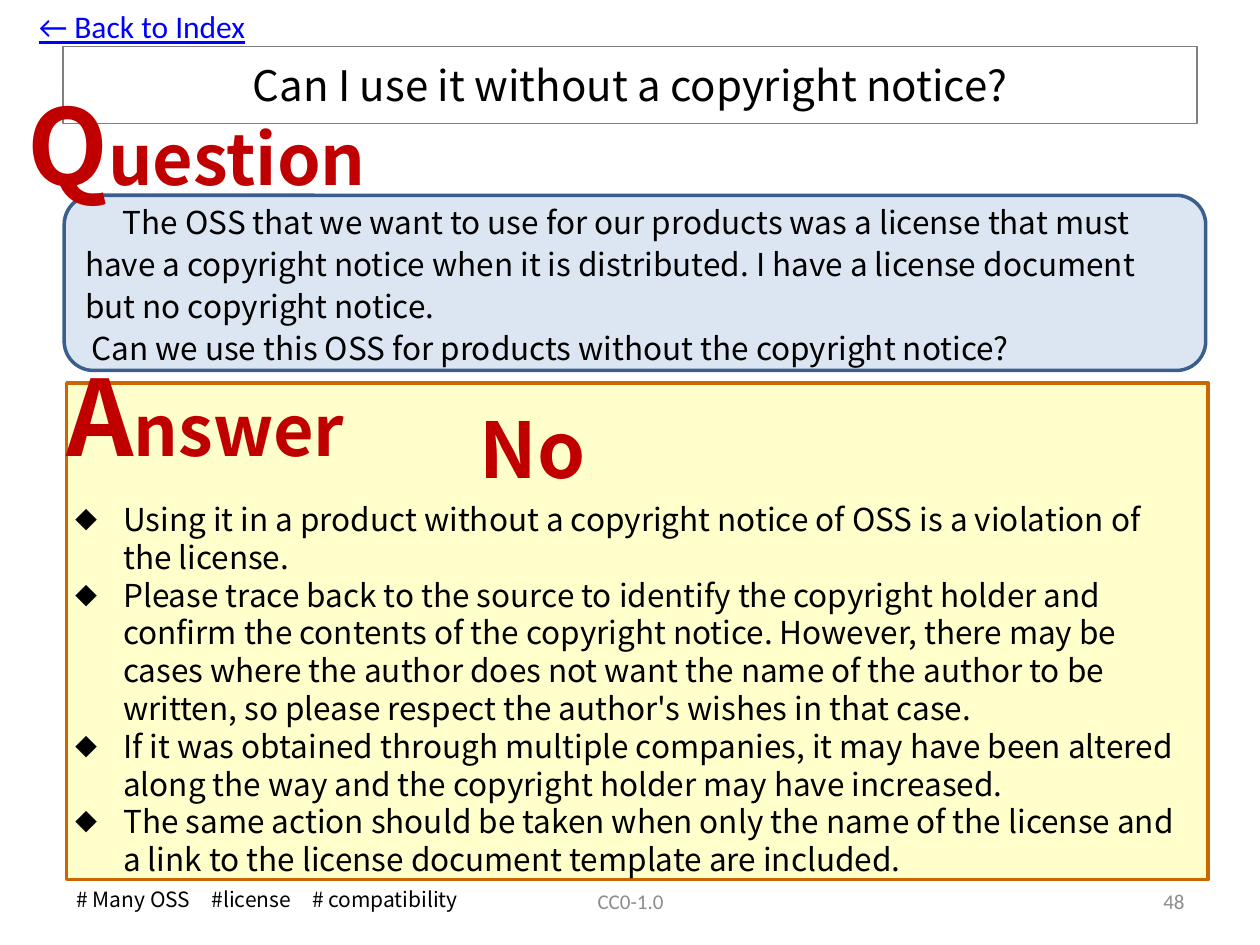
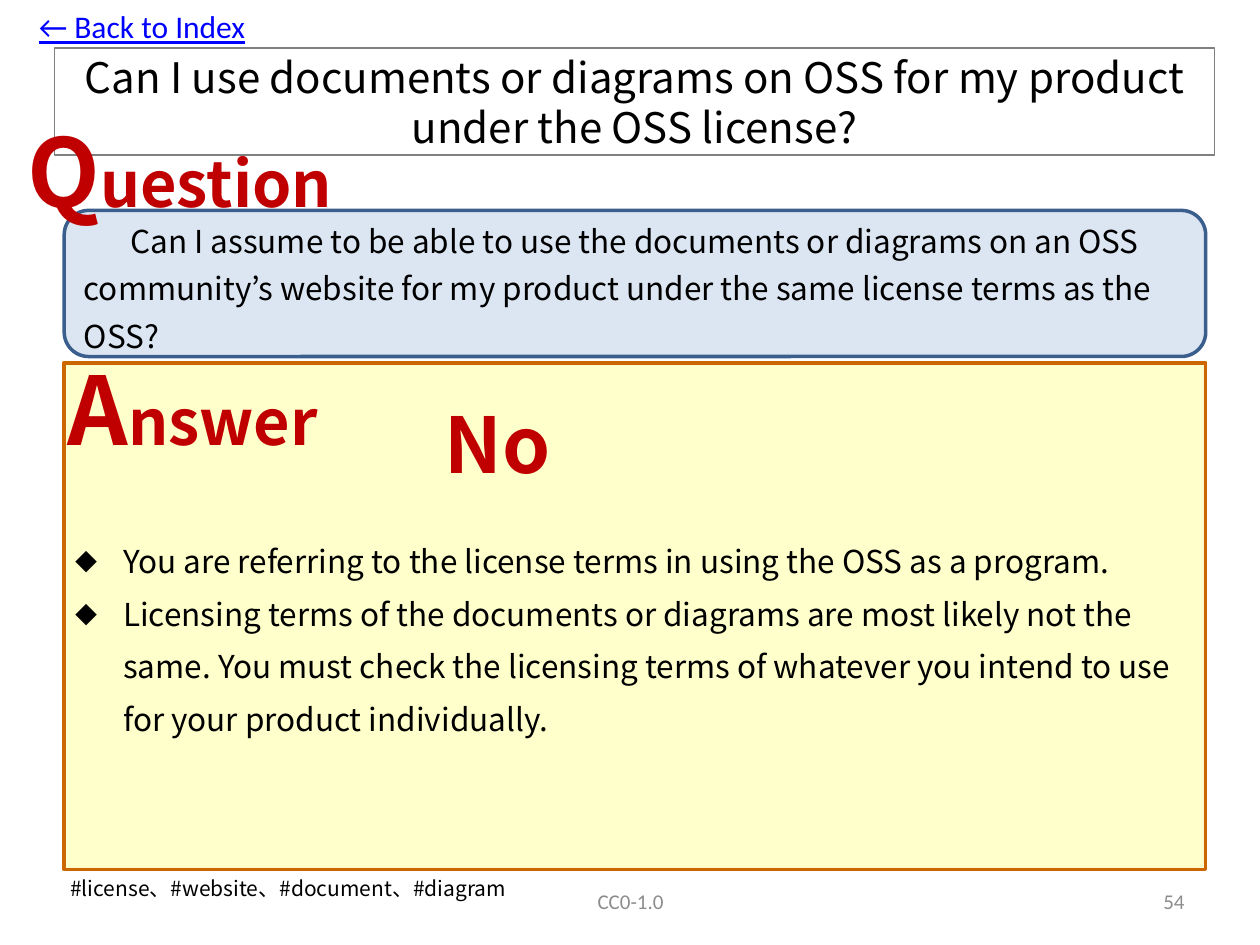
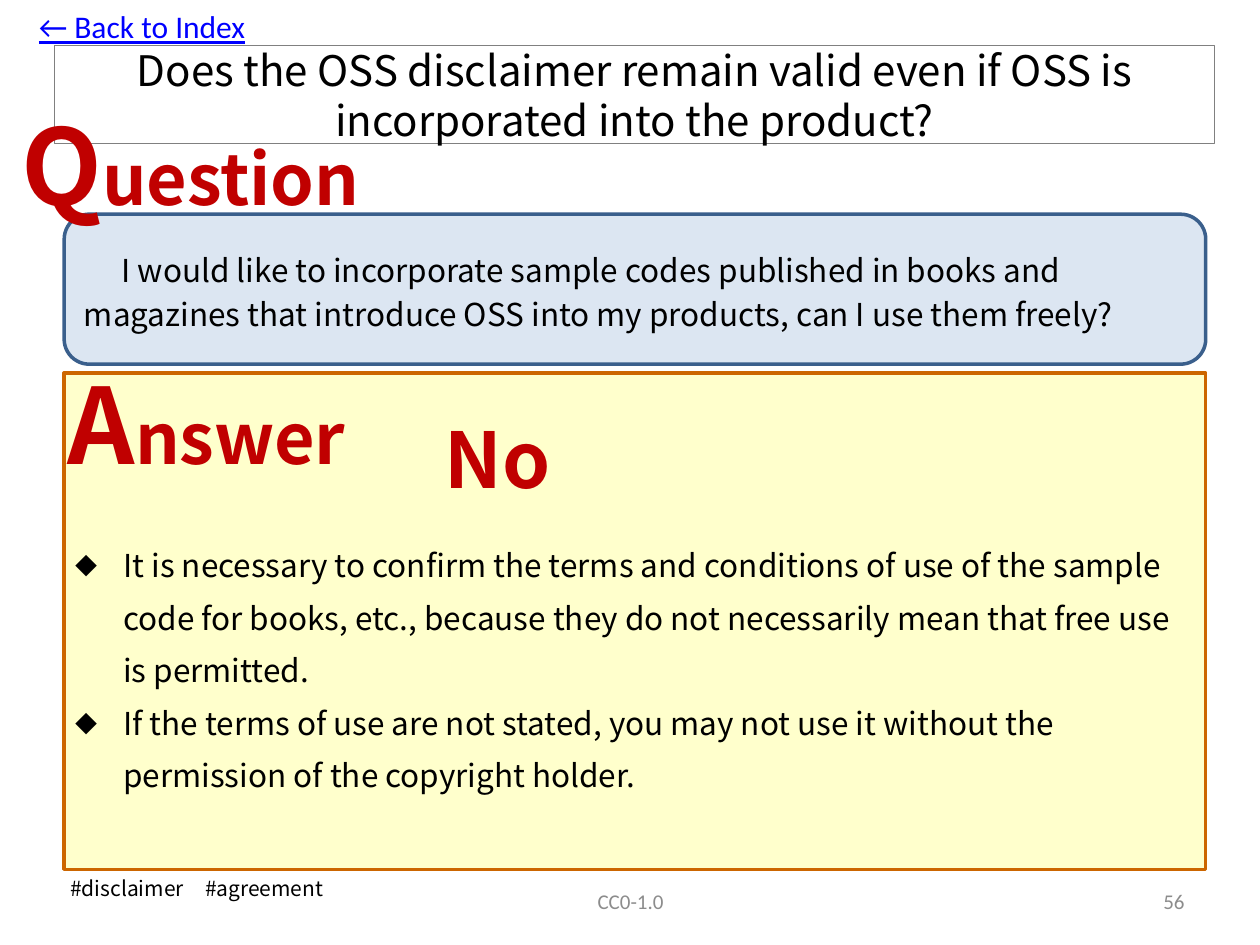
from lxml import etree
from pptx import Presentation
from pptx.dml.color import RGBColor
from pptx.enum import shapes, text
from pptx.oxml.ns import qn
from pptx.util import Inches, Pt

WHITE = RGBColor(0xFF, 0xFF, 0xFF)
BLACK = RGBColor(0x00, 0x00, 0x00)
GRAY = RGBColor(0x80, 0x80, 0x80)
FOOTER_GRAY = RGBColor(0x8C, 0x8C, 0x8C)
LINK_BLUE = RGBColor(0x00, 0x00, 0xFF)
RED = RGBColor(0xC0, 0x00, 0x00)
QUESTION_FILL = RGBColor(0xDC, 0xE6, 0xF2)
QUESTION_LINE = RGBColor(0x3A, 0x5F, 0x8C)
ANSWER_FILL = RGBColor(0xFF, 0xFF, 0xCC)
ANSWER_LINE = RGBColor(0xCC, 0x66, 0x00)

BODY_FONT = "Noto Sans CJK JP"
FOOTER_FONT = "Calibri"
LEFT, CENTER, RIGHT = text.PP_ALIGN.LEFT, text.PP_ALIGN.CENTER, text.PP_ALIGN.RIGHT
TOP, MIDDLE = text.MSO_ANCHOR.TOP, text.MSO_ANCHOR.MIDDLE
BULLET_INDENT = 0.38

# Places are left, top, width, height in inches; question paragraphs
# carry their first-line indent.
PAGES = [
    dict(
        number="48",
        title="Can I use it without a copyright notice?",
        title_at=(0.5, 0.37, 9, 0.61),
        question=[
            (0.3, "The OSS that we want to use for our products was a license that must "
                  "have a copyright notice when it is distributed. I have a license document "
                  "but no copyright notice."),
            (0.05, "Can we use this OSS for products without the copyright notice?"),
        ],
        question_at=(0.51, 1.55, 9.06, 1.39), question_spacing=24,
        answer_at=(0.53, 3.04, 9.06, 3.94),
        verdict_at=(3.71, 3.14, 3.46, 0.84),
        reasons=[
            "Using it in a product without a copyright notice of OSS is a violation of "
            "the license.",
            "Please trace back to the source to identify the copyright holder and "
            "confirm the contents of the copyright notice. However, there may be "
            "cases where the author does not want the name of the author to be "
            "written, so please respect the author's wishes in that case.",
            "If it was obtained through multiple companies, it may have been altered "
            "along the way and the copyright holder may have increased.",
            "The same action should be taken when only the name of the license and "
            "a link to the license document template are included.",
        ],
        reasons_at=(0.5, 3.92, 9.07, 3.07), reasons_spacing=None,
        heading_size=60,
        question_heading_at=(0.12, 0.59, 3.07, 1.11),
        answer_heading_at=(0.43, 2.74, 2.63, 1.11),
        tags="# Many OSS　#license　# compatibility",
        tags_at=(0.51, 6.99, 3.43, 0.3), tags_wrap=False,
    ),
    dict(
        number="54",
        title="Can I use documents or diagrams on OSS for my product under the OSS license?",
        title_at=(0.43, 0.38, 9.21, 0.85),
        question=[
            (0.37, "Can I assume to be able to use the documents or diagrams on an OSS "
                   "community’s website for my product under the same license terms as the "
                   "OSS?"),
        ],
        question_at=(0.51, 1.67, 9.06, 1.16), question_spacing=27,
        answer_at=(0.51, 2.88, 9.06, 4.02),
        verdict_at=(3.43, 3.1, 2.52, 0.84),
        reasons=[
            "You are referring to the license terms in using the OSS as a program.",
            "Licensing terms of the documents or diagrams are most likely not the "
            "same. You must check the licensing terms of whatever you intend to use "
            "for your product individually.",
        ],
        reasons_at=(0.5, 4.14, 9.07, 2.76), reasons_spacing=30,
        heading_size=54,
        question_heading_at=(0.12, 0.85, 2.78, 1.01),
        answer_heading_at=(0.44, 2.74, 2.39, 1.01),
        tags="#license、#website、#document、#diagram",
        tags_at=(0.46, 6.9, 3.74, 0.3), tags_wrap=True,
    ),
    dict(
        number="56",
        title="Does the OSS disclaimer remain valid even if OSS is incorporated into "
              "the product?",
        title_at=(0.43, 0.36, 9.21, 0.78),
        question=[
            (0.3, "I would like to incorporate sample codes published in books and "
                  "magazines that introduce OSS into my products, can I use them freely?"),
        ],
        question_at=(0.51, 1.7, 9.06, 1.19), question_spacing=25,
        answer_at=(0.51, 2.96, 9.06, 3.94),
        verdict_at=(3.43, 3.22, 1.5, 0.84),
        reasons=[
            "It is necessary to confirm the terms and conditions of use of the sample "
            "code for books, etc., because they do not necessarily mean that free use "
            "is permitted.",
            "If the terms of use are not stated, you may not use it without the "
            "permission of the copyright holder.",
        ],
        reasons_at=(0.5, 4.17, 9.07, 2.73), reasons_spacing=30,
        heading_size=60,
        question_heading_at=(0.07, 0.75, 3.07, 1.11),
        answer_heading_at=(0.44, 2.8, 2.63, 1.11),
        tags="#disclaimer　#agreement",
        tags_at=(0.46, 6.9, 2.3, 0.3), tags_wrap=False,
    ),
]


class FaqDeck:
    """Holds the shared look and the slide being filled."""

    def __init__(self):
        self.deck = Presentation()
        self.deck.slide_width = Inches(10)
        self.deck.slide_height = Inches(7.5)
        self.slide = None

    def new_slide(self):
        self.slide = self.deck.slides.add_slide(self.deck.slide_layouts[6])
        background = self.slide.background.fill
        background.solid()
        background.fore_color.rgb = WHITE

    def style_run(self, run, size, color=BLACK, font=BODY_FONT, bold=False, underline=False):
        run.font.size = Pt(size)
        run.font.color.rgb = color
        run.font.name = font
        run.font.bold = bold
        if underline:
            run.font.underline = True
        latin = run.font._element.find(qn("a:latin"))
        east_asian = etree.Element(qn("a:ea"), typeface=font)
        latin.addnext(east_asian)

    def fill_text(self, frame, lines, size, align=LEFT, spacing=None, **style):
        """Fill a text frame with one evenly styled paragraph per line."""
        frame.text = "\n".join(lines)
        for paragraph in frame.paragraphs:
            paragraph.alignment = align
            if spacing:
                paragraph.line_spacing = Pt(spacing)
            for run in paragraph.runs:
                self.style_run(run, size, **style)

    def indent(self, paragraph, left, first):
        properties = paragraph._p.get_or_add_pPr()
        properties.set("marL", str(Inches(left)))
        properties.set("indent", str(Inches(first)))
        return properties

    def panel(self, place, line, width, fill=None, kind=shapes.MSO_SHAPE.RECTANGLE):
        panel = self.slide.shapes.add_shape(kind, *map(Inches, place))
        panel.shadow.inherit = False
        if fill is None:
            panel.fill.background()
        else:
            panel.fill.solid()
            panel.fill.fore_color.rgb = fill
        panel.line.color.rgb = line
        panel.line.width = Pt(width)
        panel.text_frame.word_wrap = True
        panel.text_frame.vertical_anchor = MIDDLE
        return panel.text_frame

    def text_box(self, place, wrap=True, grow=False, anchor=TOP):
        frame = self.slide.shapes.add_textbox(*map(Inches, place)).text_frame
        frame.word_wrap = wrap
        fit = text.MSO_AUTO_SIZE
        frame.auto_size = fit.SHAPE_TO_FIT_TEXT if grow else fit.NONE
        frame.vertical_anchor = anchor
        return frame

    def title(self, words, place):
        self.fill_text(self.panel(place, GRAY, 0.75), [words], 24, CENTER)

    def question(self, paragraphs, place, spacing):
        frame = self.panel(place, QUESTION_LINE, 2, QUESTION_FILL,
                           shapes.MSO_SHAPE.ROUNDED_RECTANGLE)
        self.fill_text(frame, [words for _, words in paragraphs], 18, spacing=spacing)
        for paragraph, (first, _) in zip(frame.paragraphs, paragraphs):
            self.indent(paragraph, 0, first)

    def verdict(self, word, place):
        self.fill_text(self.text_box(place, grow=True), [word], 44, color=RED, bold=True)

    def reasons(self, lines, place, spacing):
        frame = self.text_box(place)
        self.fill_text(frame, lines, 18, spacing=spacing)
        for paragraph in frame.paragraphs:
            properties = self.indent(paragraph, BULLET_INDENT, -BULLET_INDENT)
            etree.SubElement(properties, qn("a:buSzPct"), val="70000")
            etree.SubElement(properties, qn("a:buFont"), typeface=BODY_FONT)
            etree.SubElement(properties, qn("a:buChar"), char="◆")

    def heading(self, word, place, size):
        """Set a word whose initial is half as large again as the rest."""
        paragraph = self.text_box(place, wrap=False, grow=True).paragraphs[0]
        for part, part_size in ((word[0], size), (word[1:], size * 2 / 3)):
            run = paragraph.add_run()
            run.text = part
            self.style_run(run, part_size, RED, bold=True)

    def tags(self, words, place, wrap):
        self.fill_text(self.text_box(place, wrap, grow=True), [words], 12)

    def index_label(self):
        frame = self.text_box((0.21, 0.01, 1.86, 0.4), wrap=False, grow=True)
        self.fill_text(frame, ["← Back to Index"], 18, color=LINK_BLUE,
                       font=FOOTER_FONT, underline=True)

    def footer(self, number):
        for words, left, width, align in (("CC0-1.0", 3.42, 3.17, CENTER),
                                          (number, 7.17, 2.33, RIGHT)):
            frame = self.text_box((left, 6.95, width, 0.4), anchor=MIDDLE)
            self.fill_text(frame, [words], 12, align, color=FOOTER_GRAY, font=FOOTER_FONT)

    def faq_page(self, page):
        self.new_slide()
        self.panel(page["answer_at"], ANSWER_LINE, 2, ANSWER_FILL)
        self.title(page["title"], page["title_at"])
        self.question(page["question"], page["question_at"], page["question_spacing"])
        self.verdict("No", page["verdict_at"])
        self.tags(page["tags"], page["tags_at"], page["tags_wrap"])
        self.heading("Question", page["question_heading_at"], page["heading_size"])
        self.heading("Answer", page["answer_heading_at"], page["heading_size"])
        self.reasons(page["reasons"], page["reasons_at"], page["reasons_spacing"])
        self.index_label()
        self.footer(page["number"])


def main():
    faq = FaqDeck()
    for page in PAGES:
        faq.faq_page(page)
    faq.deck.save("out.pptx")


if __name__ == "__main__":
    main()
